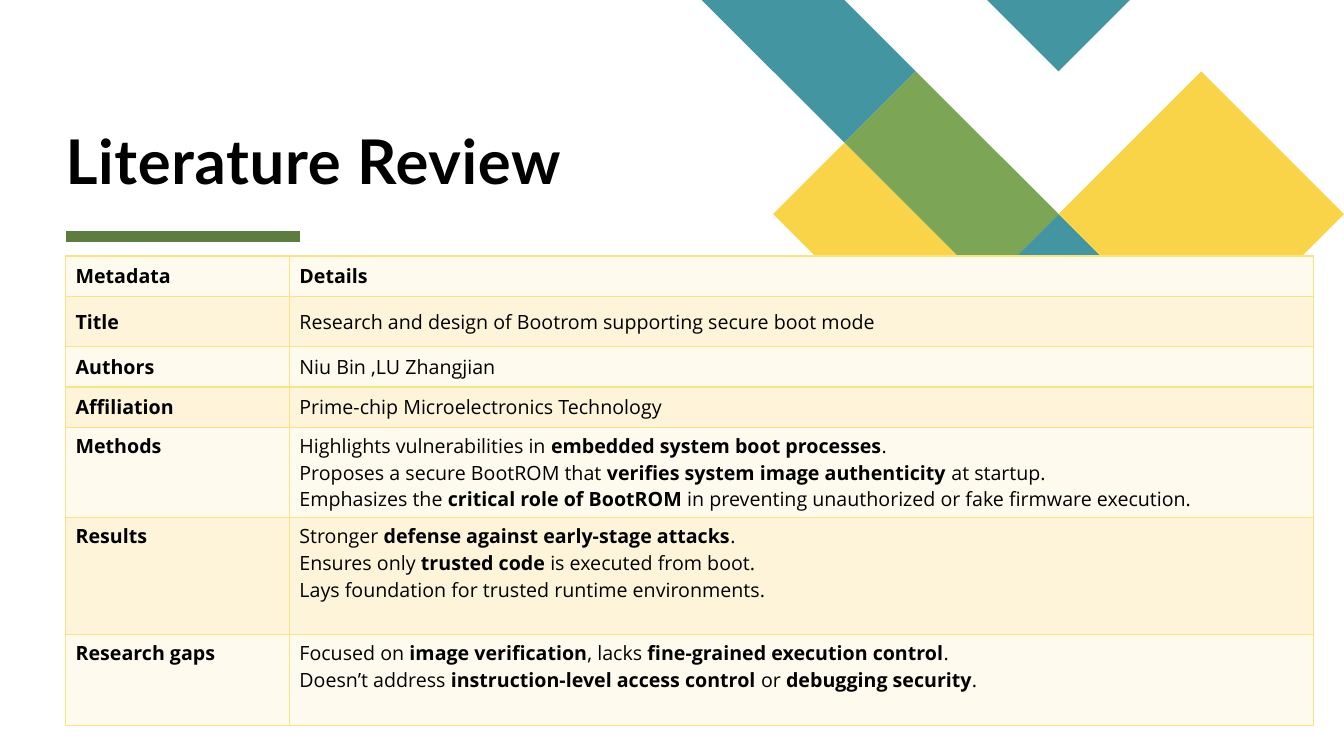
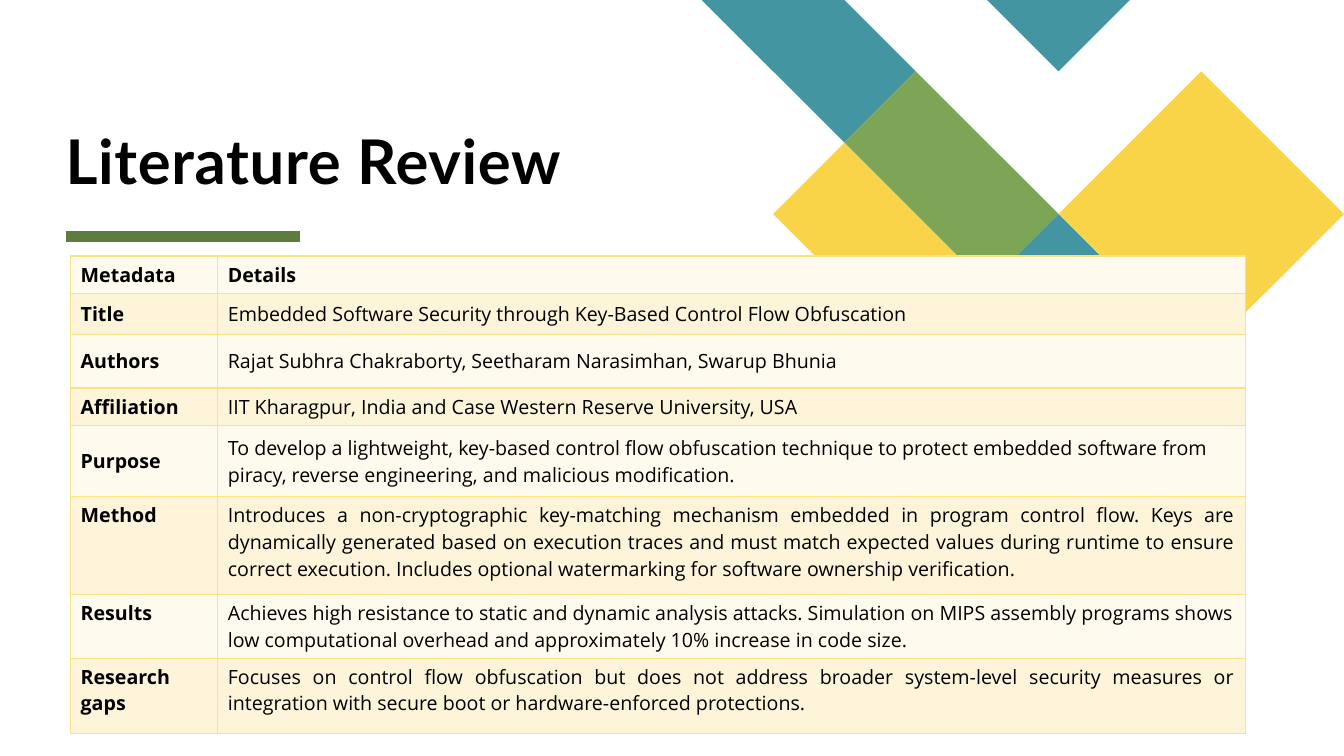
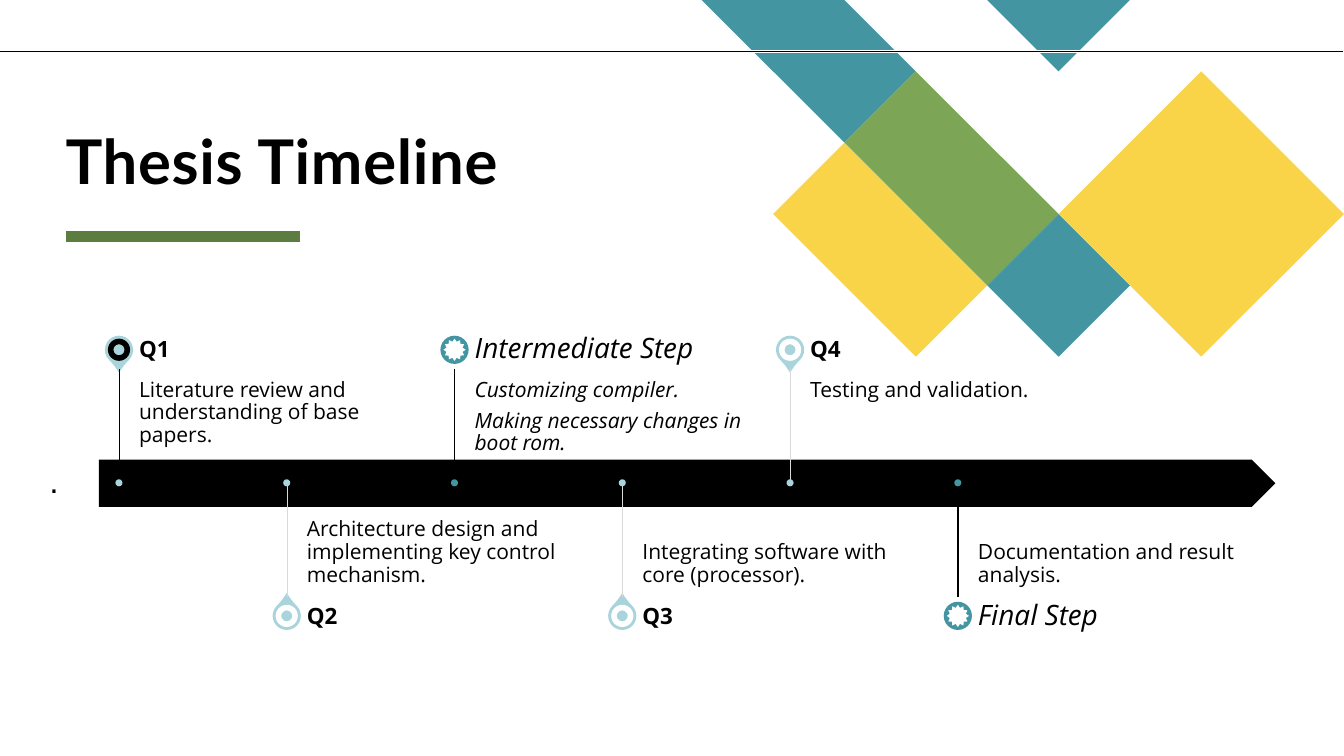
from dataclasses import dataclass

from lxml.etree import SubElement
from pptx import Presentation
from pptx.dml.color import RGBColor
from pptx.enum.shapes import MSO_CONNECTOR, MSO_SHAPE
from pptx.enum.text import MSO_ANCHOR, MSO_AUTO_SIZE, PP_ALIGN
from pptx.oxml.ns import qn
from pptx.util import Inches, Pt

BLACK = RGBColor(0x00, 0x00, 0x00)
WHITE = RGBColor(0xFF, 0xFF, 0xFF)
TEAL = RGBColor(0x44, 0x95, 0xA2)
PALE_TEAL = RGBColor(0xA9, 0xD4, 0xDB)
YELLOW = RGBColor(0xF9, 0xD4, 0x48)
GREEN = RGBColor(0x7C, 0xA6, 0x55)
DARK_GREEN = RGBColor(0x5D, 0x7D, 0x40)
GRAY = RGBColor(0xD9, 0xD9, 0xD9)
BORDER = RGBColor(0xFB, 0xE2, 0x84)
BANDS = (RGBColor(0xFE, 0xFA, 0xED), RGBColor(0xFD, 0xF4, 0xD9))

TITLE_FONT, BODY_FONT = "Lato", "Open Sans"
WIDTH, HEIGHT = 13.33, 7.5
LEFT = 0.65
TABLE_TOP = 2.54

GRID_LEFT = 6.96
GRID_UNIT = (WIDTH - GRID_LEFT) / 9

FIRST_X, LAST_X = 1.18, 9.5
AXIS_Y = 4.79
STEM = 1.13
HEAD_H = 0.4
PIN, ICON, DOT = 0.28, 0.22, 0.07
TEXT_W = 2.77


@dataclass(frozen=True)
class Tile:
    color: RGBColor
    contours: tuple


@dataclass(frozen=True)
class Row:
    label: str
    detail: str
    height: float
    anchor: MSO_ANCHOR = MSO_ANCHOR.MIDDLE
    align: PP_ALIGN = PP_ALIGN.LEFT


@dataclass(frozen=True)
class Step:
    head: str
    text: str
    special: bool = False
    icon_color: RGBColor = WHITE
    stem_color: RGBColor = GRAY


TILES = (
    Tile(TEAL, (((0, 0), (2, 0), (3, 1), (2, 2)), ((4, 4), (5, 3), (6, 4), (5, 5)))),
    Tile(YELLOW, (((2, 2), (1, 3), (3, 5), (4, 4)),)),
    Tile(TEAL, (((4, 0), (6, 0), (5, 1)),)),
    Tile(GREEN, (((3, 1), (2, 2), (4, 4), (5, 3)),)),
    Tile(YELLOW, (((7, 1), (5, 3), (7, 5), (9, 3)),)),
)

BOOTROM_ROWS = (
    Row("Metadata", "**Details**", 0.4),
    Row("Title", "Research and design of Bootrom supporting secure boot mode", 0.5),
    Row("Authors", "Niu Bin ,LU Zhangjian", 0.4),
    Row("Affiliation", "Prime-chip Microelectronics Technology", 0.4),
    Row("Methods",
        "Highlights vulnerabilities in **embedded system boot processes**.\n"
        "Proposes a secure BootROM that **verifies system image authenticity** at startup.\n"
        "Emphasizes the **critical role of BootROM** in preventing unauthorized or fake "
        "firmware execution.",
        0.89, MSO_ANCHOR.TOP, PP_ALIGN.JUSTIFY),
    Row("Results",
        "Stronger **defense against early-stage attacks**.\n"
        "Ensures only **trusted code** is executed from boot.\n"
        "Lays foundation for trusted runtime environments.",
        1.16, MSO_ANCHOR.TOP, PP_ALIGN.JUSTIFY),
    Row("Research gaps",
        "Focused on **image verification**, lacks **fine-grained execution control**.\n"
        "Doesn’t address **instruction-level access control** or **debugging security**.",
        0.9, MSO_ANCHOR.TOP, PP_ALIGN.JUSTIFY),
)

OBFUSCATION_ROWS = (
    Row("Metadata", "**Details**", 0.37),
    Row("Title", "Embedded Software Security through Key-Based Control Flow Obfuscation", 0.41),
    Row("Authors", "Rajat Subhra Chakraborty, Seetharam Narasimhan, Swarup Bhunia", 0.53),
    Row("Affiliation", "IIT Kharagpur, India and Case Western Reserve University, USA", 0.37),
    Row("Purpose",
        "To develop a lightweight, key-based control flow obfuscation technique to protect "
        "embedded software from piracy, reverse engineering, and malicious modification.",
        0.71),
    Row("Method",
        "Introduces a non-cryptographic key-matching mechanism embedded in program control "
        "flow. Keys are dynamically generated based on execution traces and must match "
        "expected values during runtime to ensure correct execution. Includes optional "
        "watermarking for software ownership verification.",
        0.97, MSO_ANCHOR.TOP, PP_ALIGN.JUSTIFY),
    Row("Results",
        "Achieves high resistance to static and dynamic analysis attacks. Simulation on MIPS "
        "assembly programs shows low computational overhead and approximately 10% increase "
        "in code size.",
        0.63, MSO_ANCHOR.TOP),
    Row("Research gaps",
        "Focuses on control flow obfuscation but does not address broader system-level "
        "security measures or integration with secure boot or hardware-enforced protections.",
        0.75, MSO_ANCHOR.TOP, PP_ALIGN.JUSTIFY),
)

STEPS = (
    Step("Q1", "Literature review and understanding of base papers.",
         icon_color=BLACK, stem_color=BLACK),
    Step("Q2", "Architecture design and implementing key control mechanism."),
    Step("Intermediate Step", "Customizing compiler.\nMaking necessary changes in boot rom.",
         special=True, stem_color=BLACK),
    Step("Q3", "Integrating software with core (processor)."),
    Step("Q4", "Testing and validation."),
    Step("Final Step", "Documentation and result analysis.", special=True, stem_color=BLACK),
)


def put_text(tf, text: str, *, size: float, font: str = BODY_FONT, bold: bool = False,
             italic: bool = False, align: PP_ALIGN = PP_ALIGN.LEFT, spacing: float = 1.0,
             after: float = 0, tracking: float = 0) -> None:
    for i, line in enumerate(text.split("\n")):
        p = tf.add_paragraph() if i else tf.paragraphs[0]
        p.alignment, p.line_spacing = align, spacing
        p.space_before, p.space_after = Pt(0), Pt(after)
        for j, part in enumerate(line.split("**")):
            if not part:
                continue
            r = p.add_run()
            r.text = part
            r.font.name, r.font.size = font, Pt(size)
            r.font.bold, r.font.italic = bold or j % 2 == 1, italic
            r.font.color.rgb = BLACK
            if tracking:
                r._r.get_or_add_rPr().set("spc", str(round(tracking * 100)))


def set_frame(tf, anchor: MSO_ANCHOR, insets: tuple) -> None:
    tf.word_wrap = True
    tf.auto_size = MSO_AUTO_SIZE.NONE
    tf.vertical_anchor = anchor
    tf.margin_left, tf.margin_top, tf.margin_right, tf.margin_bottom = map(Inches, insets)


def place(sp, x: float, y: float, w: float, h: float) -> None:
    sp.left, sp.top, sp.width, sp.height = map(Inches, (x, y, w, h))


def paint(sp, fill: RGBColor) -> None:
    sp.shadow.inherit = False
    sp.fill.solid()
    sp.fill.fore_color.rgb = fill
    sp.line.fill.background()


def add_box(s, kind: MSO_SHAPE, x: float, y: float, w: float, h: float, fill: RGBColor):
    sp = s.shapes.add_shape(kind, *map(Inches, (x, y, w, h)))
    paint(sp, fill)
    return sp


def add_round(s, kind: MSO_SHAPE, x: float, y: float, size: float, fill: RGBColor):
    return add_box(s, kind, x - size / 2, y - size / 2, size, size, fill)


def add_line(s, x1: float, y1: float, x2: float, y2: float, color: RGBColor, width: float) -> None:
    c = s.shapes.add_connector(MSO_CONNECTOR.STRAIGHT, *map(Inches, (x1, y1, x2, y2)))
    c.line.color.rgb = color
    c.line.width = Pt(width)
    SubElement(c._element.spPr, qn("a:effectLst"))


def add_label(s, text: str, x: float, y: float, h: float, anchor: MSO_ANCHOR,
              insets: tuple, **fmt) -> None:
    sp = s.shapes.add_textbox(*map(Inches, (x, y, TEXT_W, h)))
    set_frame(sp.text_frame, anchor, insets)
    put_text(sp.text_frame, text, spacing=0.9, **fmt)


def grid_point(node: tuple) -> tuple:
    col, row = node
    return Inches(GRID_LEFT + col * GRID_UNIT), Inches(row * GRID_UNIT)


def add_tile(s, tile: Tile) -> None:
    first, *others = [[grid_point(node) for node in contour] for contour in tile.contours]
    fb = s.shapes.build_freeform(*first[0])
    fb.add_line_segments(first[1:], close=True)
    for points in others:
        fb.move_to(*points[0])
        fb.add_line_segments(points[1:], close=True)
    paint(fb.convert_to_shape(), tile.color)


def add_slide(prs, layout: int, title: str):
    s = prs.slides.add_slide(prs.slide_layouts[layout])
    for tile in TILES:
        add_tile(s, tile)
    add_line(s, LEFT, 2.35, 2.98, 2.35, DARK_GREEN, 8)
    sp = s.shapes.title
    place(sp, LEFT, 0.21, 7.42, 1.74)
    set_frame(sp.text_frame, MSO_ANCHOR.BOTTOM, (0, 0, 0, 0))
    put_text(sp.text_frame, title, size=44, font=TITLE_FONT, bold=True, spacing=0.8, tracking=0.5)
    return s


def set_borders(cell, color: RGBColor, width: float) -> None:
    tcPr = cell._tc.get_or_add_tcPr()
    for side in ("a:lnL", "a:lnR", "a:lnT", "a:lnB"):
        ln = SubElement(tcPr, qn(side), w=str(Pt(width)))
        fill = SubElement(ln, qn("a:solidFill"))
        SubElement(fill, qn("a:srgbClr"), val=str(color))


def add_review(prs, x: float, widths: tuple, rows: tuple) -> None:
    s = add_slide(prs, 5, "Literature Review")
    height = sum(row.height for row in rows)
    frame = s.shapes.add_table(len(rows), len(widths), *map(Inches, (x, TABLE_TOP, sum(widths), height)))
    table = frame.table
    table.first_row = table.horz_banding = False
    for col, width in zip(table.columns, widths):
        col.width = Inches(width)
    for i, row in enumerate(rows):
        table.rows[i].height = Inches(row.height)
        for j, text in enumerate((row.label, row.detail)):
            cell = table.cell(i, j)
            set_borders(cell, BORDER, 1)
            cell.fill.solid()
            cell.fill.fore_color.rgb = BANDS[i % 2]
            cell.vertical_anchor = row.anchor
            put_text(cell.text_frame, text, size=14, bold=j == 0, align=row.align)


def add_step(s, step: Step, x: float, above: bool) -> None:
    if above:
        head_y, text_y, pin_y, stem_end = 3.27, AXIS_Y - STEM, 3.47, AXIS_Y - STEM
        anchor, insets, turn = MSO_ANCHOR.TOP, (0, 0.1, 0.1, 0.16), 135
    else:
        head_y, text_y, pin_y, stem_end = AXIS_Y + STEM, AXIS_Y, 6.11, AXIS_Y + STEM
        anchor, insets, turn = MSO_ANCHOR.BOTTOM, (0, 0.16, 0, 0.1), 315
    color = TEAL if step.special else PALE_TEAL
    pin = add_round(s, MSO_SHAPE.OVAL if step.special else MSO_SHAPE.TEAR, x, pin_y, PIN, color)
    pin.rotation = turn
    if not step.special:
        pin.adjustments[0] = 1.15
    icon = MSO_SHAPE.STAR_12_POINT if step.special else MSO_SHAPE.DONUT
    add_round(s, icon, x, pin_y, ICON, step.icon_color)
    add_label(s, step.text, x + 0.2, text_y, STEM, anchor, insets, size=15, after=6,
              italic=step.special and above)
    add_label(s, step.head, x + 0.2, head_y, HEAD_H, MSO_ANCHOR.MIDDLE, (0, 0, 0.11, 0),
              size=20 if step.special else 16, bold=not step.special, italic=step.special)
    add_line(s, x, AXIS_Y, x, stem_end, step.stem_color, 1 if step.special else 0.25)
    add_round(s, MSO_SHAPE.OVAL, x, AXIS_Y, DOT, color)


def add_timeline(prs) -> None:
    s = add_slide(prs, 1, "Thesis Timeline")
    band = add_box(s, MSO_SHAPE.RECTANGLE, 0, 0.5, WIDTH, 0.02, BLACK)
    band.line.color.rgb = WHITE
    band.line.width = Pt(0.75)

    body = s.placeholders[1]
    place(body, 0.39, 4.55, 0.5, 0.5)
    set_frame(body.text_frame, MSO_ANCHOR.MIDDLE, (0.1, 0.05, 0.1, 0.05))
    put_text(body.text_frame, ".", size=24, font="Arial", spacing=0.8)
    pPr = body.text_frame.paragraphs[0]._p.get_or_add_pPr()
    pPr.set("marL", "0")
    pPr.set("indent", "0")
    SubElement(pPr, qn("a:buNone"))

    add_box(s, MSO_SHAPE.PENTAGON, 0.98, 4.56, 11.67, 0.47, BLACK)
    pitch = (LAST_X - FIRST_X) / (len(STEPS) - 1)
    for i, step in enumerate(STEPS):
        add_step(s, step, FIRST_X + i * pitch, above=i % 2 == 0)


def main() -> None:
    prs = Presentation()
    prs.slide_width, prs.slide_height = Inches(WIDTH), Inches(HEIGHT)
    add_review(prs, LEFT, (2.22, 10.16), BOOTROM_ROWS)
    add_review(prs, 0.7, (1.46, 10.19), OBFUSCATION_ROWS)
    add_timeline(prs)
    prs.save("out.pptx")


if __name__ == "__main__":
    main()
